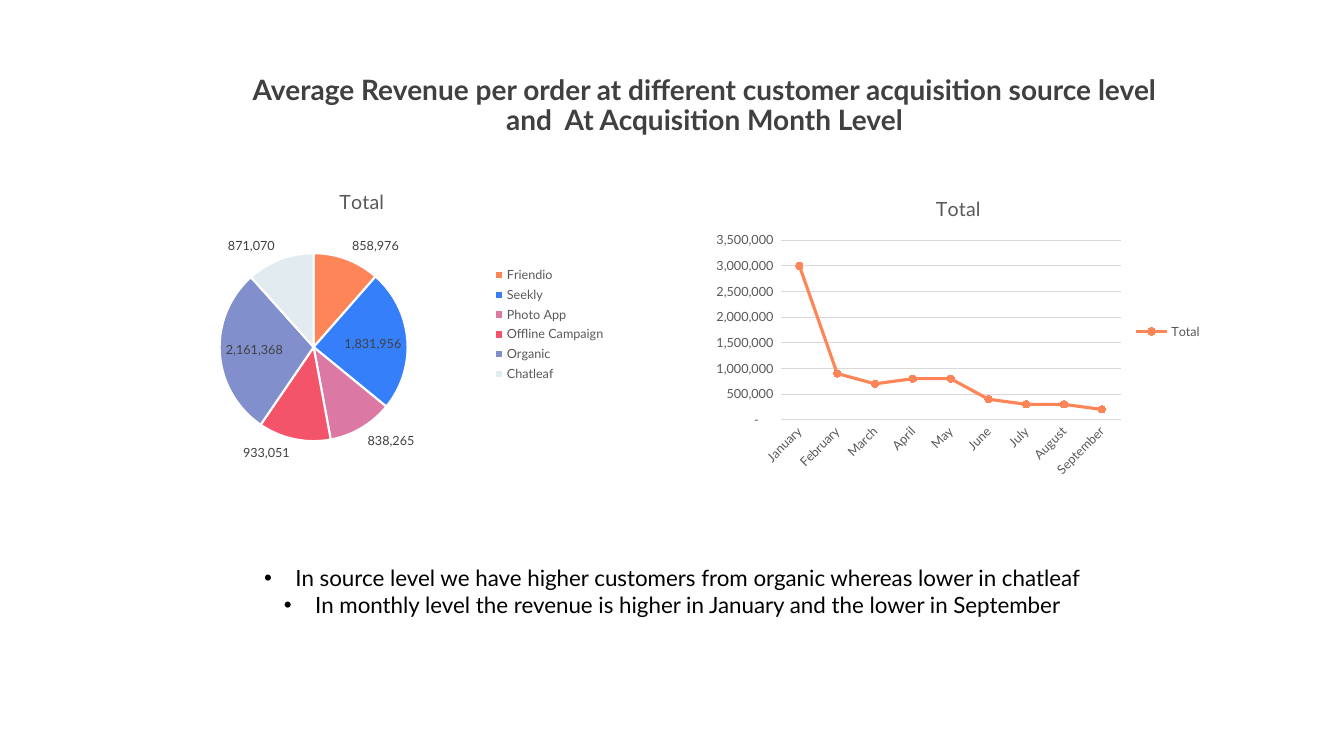
from dataclasses import dataclass

from lxml import etree
from pptx import Presentation
from pptx.chart.chart import Chart
from pptx.chart.data import CategoryChartData
from pptx.dml.color import RGBColor
from pptx.enum.chart import (XL_CHART_TYPE, XL_LABEL_POSITION, XL_LEGEND_POSITION,
                             XL_MARKER_STYLE, XL_TICK_MARK)
from pptx.enum.text import MSO_ANCHOR, PP_ALIGN
from pptx.oxml.ns import qn
from pptx.slide import Slide
from pptx.text.text import Font, TextFrame
from pptx.util import Cm, Pt

PIE = XL_CHART_TYPE.PIE
LINE = XL_CHART_TYPE.LINE_MARKERS
BEST_FIT = XL_LABEL_POSITION.BEST_FIT
LEGEND_RIGHT = XL_LEGEND_POSITION.RIGHT
CIRCLE = XL_MARKER_STYLE.CIRCLE
NO_TICK = XL_TICK_MARK.NONE
MIDDLE = MSO_ANCHOR.MIDDLE
TOP = MSO_ANCHOR.TOP
CENTER = PP_ALIGN.CENTER

FONT = "Lato"
NUMBER_FORMAT = '_ * #,##0_ ;_ * \\-#,##0_ ;_ * "-"??_ ;_ '
COLORS = {
    "black": "000000", "white": "FFFFFF", "dark": "404040", "gray": "595959",
    "grid": "D9D9D9", "orange": "FD8558", "blue": "367FFB", "pink": "DC78A4",
    "red": "F4546A", "violet": "8190CC", "pale": "E2EBF0",
}
SLICE_COLORS = ["orange", "blue", "pink", "red", "violet", "pale"]


@dataclass
class Area:
    """Left, top, width and height in centimetres."""
    left: float
    top: float
    width: float
    height: float

    def lengths(self) -> tuple[Cm, Cm, Cm, Cm]:
        return Cm(self.left), Cm(self.top), Cm(self.width), Cm(self.height)


@dataclass
class ChartSpec:
    kind: XL_CHART_TYPE
    area: Area
    plot: dict[str, float]  # inner plot area as shares of the chart
    values: dict[str, int]


TITLE_AREA = Area(3.15, 0.84, 29.21, 3.68)
TITLE_LINES = ["Average Revenue per order at different customer acquisition source level",
               "and  At Acquisition Month Level"]
FINDINGS_AREA = Area(5.44, 14.1, 23.01, 1.63)
FINDINGS = [
    "In source level we have higher customers from organic whereas lower in chatleaf",
    "In monthly level the revenue is higher in January and the lower in September",
]
SOURCES = ChartSpec(
    PIE, Area(2.72, 4.34, 12.8, 7.67), {"x": 0.22, "y": 0.26, "w": 0.37, "h": 0.63},
    {"Friendio": 858976, "Seekly": 1831956, "Photo App": 838265,
     "Offline Campaign": 933051, "Organic": 2161368, "Chatleaf": 871070})
MONTHS = ChartSpec(
    LINE, Area(17.75, 4.52, 12.8, 7.67), {"x": 0.15, "y": 0.2, "w": 0.67, "h": 0.59},
    {"January": 3000000, "February": 900000, "March": 700000, "April": 800000,
     "May": 800000, "June": 400000, "July": 300000, "August": 300000,
     "September": 200000})


def color(name: str) -> RGBColor:
    return RGBColor.from_string(COLORS[name])


def style_font(font: Font, size: float, color_name: str, bold: bool = False) -> None:
    font.name = FONT
    font.size = Pt(size)
    font.bold = bold
    font.color.rgb = color(color_name)


def add_text_frame(page: Slide, area: Area, anchor: MSO_ANCHOR) -> TextFrame:
    frame = page.shapes.add_textbox(*area.lengths()).text_frame
    frame.word_wrap = True
    frame.vertical_anchor = anchor
    return frame


def add_title(page: Slide) -> None:
    para = add_text_frame(page, TITLE_AREA, MIDDLE).paragraphs[0]
    para.alignment = CENTER
    para.line_spacing = 0.9
    for index, line in enumerate(TITLE_LINES):
        if index:
            para.add_line_break()
        span = para.add_run()
        span.text = line
        style_font(span.font, 20, "dark", bold=True)


def add_findings(page: Slide) -> None:
    frame = add_text_frame(page, FINDINGS_AREA, TOP)
    for index, finding in enumerate(FINDINGS):
        para = frame.add_paragraph() if index else frame.paragraphs[0]
        para.alignment = CENTER
        properties = para._p.get_or_add_pPr()
        properties.set("marL", str(Cm(0.79)))
        properties.set("indent", str(-Cm(0.79)))
        etree.SubElement(properties, qn("a:buFont"), typeface="Arial")
        etree.SubElement(properties, qn("a:buChar"), char="•")
        span = para.add_run()
        span.text = finding
        style_font(span.font, 16, "black")


def place_plot(chart: Chart, plot: dict[str, float]) -> None:
    plot_area = chart._chartSpace.find(".//" + qn("c:plotArea"))
    layout = plot_area.find(qn("c:layout"))
    if layout is None:
        layout = etree.Element(qn("c:layout"))
        plot_area.insert(0, layout)
    manual = etree.SubElement(layout, qn("c:manualLayout"))
    settings = {"layoutTarget": "inner", "xMode": "edge", "yMode": "edge", **plot}
    for tag, value in settings.items():
        etree.SubElement(manual, qn("c:" + tag), val=str(value))


def add_chart(page: Slide, spec: ChartSpec) -> Chart:
    data = CategoryChartData()
    data.categories = list(spec.values)
    data.add_series("Total", list(spec.values.values()))
    chart = page.shapes.add_chart(spec.kind, *spec.area.lengths(), data).chart
    style_font(chart.font, 10, "black")
    # Title and legend
    chart.has_title = True
    span = chart.chart_title.text_frame.paragraphs[0].add_run()
    span.text = "Total"
    style_font(span.font, 14, "gray")
    chart.chart_title.include_in_layout = False
    chart.has_legend = True
    chart.legend.position = LEGEND_RIGHT
    chart.legend.include_in_layout = False
    style_font(chart.legend.font, 9, "gray")
    place_plot(chart, spec.plot)
    return chart


def style_pie(chart: Chart) -> None:
    pie = chart.plots[0]
    pie.vary_by_categories = True
    for index, name in enumerate(SLICE_COLORS):
        piece = pie.series[0].points[index].format
        piece.fill.solid()
        piece.fill.fore_color.rgb = color(name)
        piece.line.color.rgb = color("white")
        piece.line.width = Pt(1.5)
    labels = pie.series[0].data_labels
    labels.show_value = True
    labels.number_format = NUMBER_FORMAT
    labels.number_format_is_linked = False
    labels.position = BEST_FIT
    style_font(labels.font, 9, "dark")


def style_line(chart: Chart) -> None:
    chart.plots[0].vary_by_categories = False
    series = chart.plots[0].series[0]
    series.smooth = False
    series.format.line.color.rgb = color("orange")
    series.format.line.width = Pt(2.25)
    series.marker.style = CIRCLE
    series.marker.size = 5
    series.marker.format.fill.solid()
    series.marker.format.fill.fore_color.rgb = color("orange")
    series.marker.format.line.color.rgb = color("orange")
    # Axes
    months, revenue = chart.category_axis, chart.value_axis
    for axis in (months, revenue):
        axis.major_tick_mark = axis.minor_tick_mark = NO_TICK
        style_font(axis.tick_labels.font, 9, "gray")
    revenue.has_major_gridlines = True
    for rule in (months.format.line, revenue.major_gridlines.format.line):
        rule.color.rgb = color("grid")
        rule.width = Pt(0.75)
    revenue.format.line.fill.background()
    revenue.tick_labels.number_format = NUMBER_FORMAT
    revenue.tick_labels.number_format_is_linked = False
    label_body = months._element.find(qn("c:txPr")).find(qn("a:bodyPr"))
    label_body.set("rot", str(-45 * 60000))


def main() -> None:
    deck = Presentation()
    deck.slide_width, deck.slide_height = Cm(33.87), Cm(19.05)
    page = deck.slides.add_slide(deck.slide_layouts[6])
    add_title(page)
    style_pie(add_chart(page, SOURCES))
    style_line(add_chart(page, MONTHS))
    add_findings(page)
    deck.save("out.pptx")


if __name__ == "__main__":
    main()
